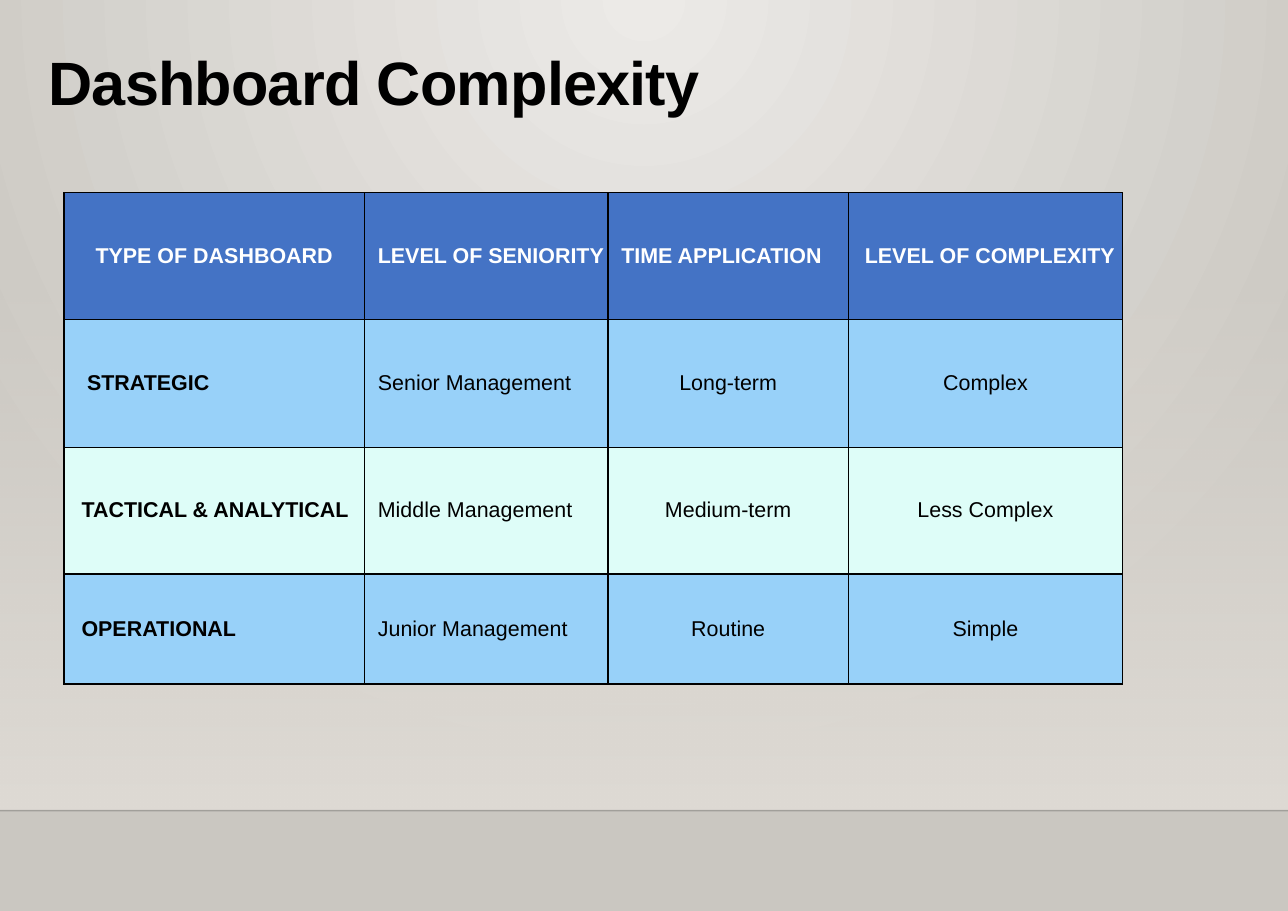
"""Build the Dashboard Complexity slide."""
from dataclasses import dataclass

from lxml.etree import SubElement
from pptx import Presentation
from pptx.dml.color import RGBColor
from pptx.enum.shapes import MSO_CONNECTOR, MSO_SHAPE
from pptx.enum.text import MSO_ANCHOR, PP_ALIGN
from pptx.oxml.ns import qn
from pptx.util import Inches, Pt


@dataclass(frozen=True)
class Theme:
    font: str = "Arial"
    title_size: int = 40
    cell_size: int = 14
    glow: str = "ECEAE7"
    backdrop: str = "CAC7C1"
    haze: str = "DFDBD5"
    black: str = "000000"
    white: str = "FFFFFF"
    header: str = "4473C5"
    rows: tuple = ("98D1F9", "DEFDF8")


theme = Theme()


def style_text(paragraph, size, color, bold):
    paragraph.font.name = theme.font
    paragraph.font.size = Pt(size)
    paragraph.font.bold = bold
    paragraph.font.color.rgb = RGBColor.from_string(color)


def add_border(cell, side):
    border = SubElement(cell._tc.get_or_add_tcPr(), qn(f"a:{side}"), w=str(Pt(1)))
    fill = SubElement(border, qn("a:solidFill"))
    SubElement(fill, qn("a:srgbClr"), val=theme.black)


presentation = Presentation()
presentation.slide_width = Inches(11.69)
presentation.slide_height = Inches(8.27)
slide = presentation.slides.add_slide(presentation.slide_layouts[6])

background = slide.background.fill
background.gradient()
for stop, color in zip(background.gradient_stops, (theme.glow, theme.backdrop)):
    stop.color.rgb = RGBColor.from_string(color)
gradient = slide.element.find(".//" + qn("a:gradFill"))
gradient.remove(gradient.find(qn("a:lin")))
circle = SubElement(gradient, qn("a:path"), {"path": "circle"})
SubElement(circle, qn("a:fillToRect"), l="43000", t="0", r="43000", b="100000")

haze = slide.shapes.add_shape(
    MSO_SHAPE.RECTANGLE, 0, Inches(2.43), Inches(11.69), Inches(4.92))
haze.shadow.inherit = False
haze.line.fill.background()
haze.fill.gradient()
haze.fill.gradient_angle = 270
for stop in haze.fill.gradient_stops:
    stop.color.rgb = RGBColor.from_string(theme.haze)
SubElement(haze._element.spPr.find(".//" + qn("a:srgbClr")), qn("a:alpha"), val="0")

floor_line = slide.shapes.add_connector(
    MSO_CONNECTOR.STRAIGHT, 0, Inches(7.36), Inches(11.69), Inches(7.36))
floor_line.line.width = Pt(1)
floor_line.line.color.rgb = RGBColor.from_string(theme.black)
line_properties = floor_line._element.spPr
SubElement(line_properties.find(".//" + qn("a:srgbClr")), qn("a:alpha"), val="20000")
SubElement(line_properties, qn("a:effectLst"))

table_rows = [
    ("TYPE OF DASHBOARD", "LEVEL OF SENIORITY", "TIME APPLICATION", "LEVEL OF COMPLEXITY"),
    ("STRATEGIC", "Senior Management", "Long-term", "Complex"),
    ("TACTICAL & ANALYTICAL", "Middle Management", "Medium-term", "Less Complex"),
    ("OPERATIONAL", "Junior Management", "Routine", "Simple"),
]
left_margins = [
    (0, 0.12, 0.12, 0.15),
    (0.21, 0.12, 0, 0),
    (0.16, 0.12, 0, 0),
    (0.16, 0.12, 0, 0),
]
table = slide.shapes.add_table(
    4, 4, Inches(0.58), Inches(1.75), Inches(9.61), Inches(4.46)).table
table.first_row = table.horz_banding = False
for column, width in zip(table.columns, (2.73, 2.21, 2.18, 2.49)):
    column.width = Inches(width)
for row, height in zip(table.rows, (1.15, 1.16, 1.15, 1)):
    row.height = Inches(height)

for row_index, (texts, margins) in enumerate(zip(table_rows, left_margins)):
    is_header = row_index == 0
    row_color = theme.header if is_header else theme.rows[(row_index - 1) % 2]
    for column_index, (text, margin) in enumerate(zip(texts, margins)):
        cell = table.cell(row_index, column_index)
        cell.margin_left = Inches(margin)
        cell.margin_right = cell.margin_top = cell.margin_bottom = 0
        cell.vertical_anchor = MSO_ANCHOR.MIDDLE
        for side in ("lnL", "lnR", "lnT", "lnB"):
            add_border(cell, side)
        cell.fill.solid()
        cell.fill.fore_color.rgb = RGBColor.from_string(row_color)
        cell.text = text
        paragraph = cell.text_frame.paragraphs[0]
        paragraph.alignment = PP_ALIGN.LEFT if margin else PP_ALIGN.CENTER
        style_text(paragraph, theme.cell_size,
                   theme.white if is_header else theme.black,
                   is_header or column_index == 0)

title = slide.shapes.add_textbox(Inches(0.44), Inches(0.33), Inches(11.03), Inches(1.02))
title_frame = title.text_frame
title_frame.word_wrap = True
title_frame.margin_left = title_frame.margin_right = title_frame.margin_bottom = 0
title_frame.margin_top = Inches(0.07)
title_frame.text = "Dashboard Complexity"
title_paragraph = title_frame.paragraphs[0]
style_text(title_paragraph, theme.title_size, theme.black, True)
title_paragraph.runs[0]._r.get_or_add_rPr().set("spc", "-50")

presentation.save("out.pptx")
